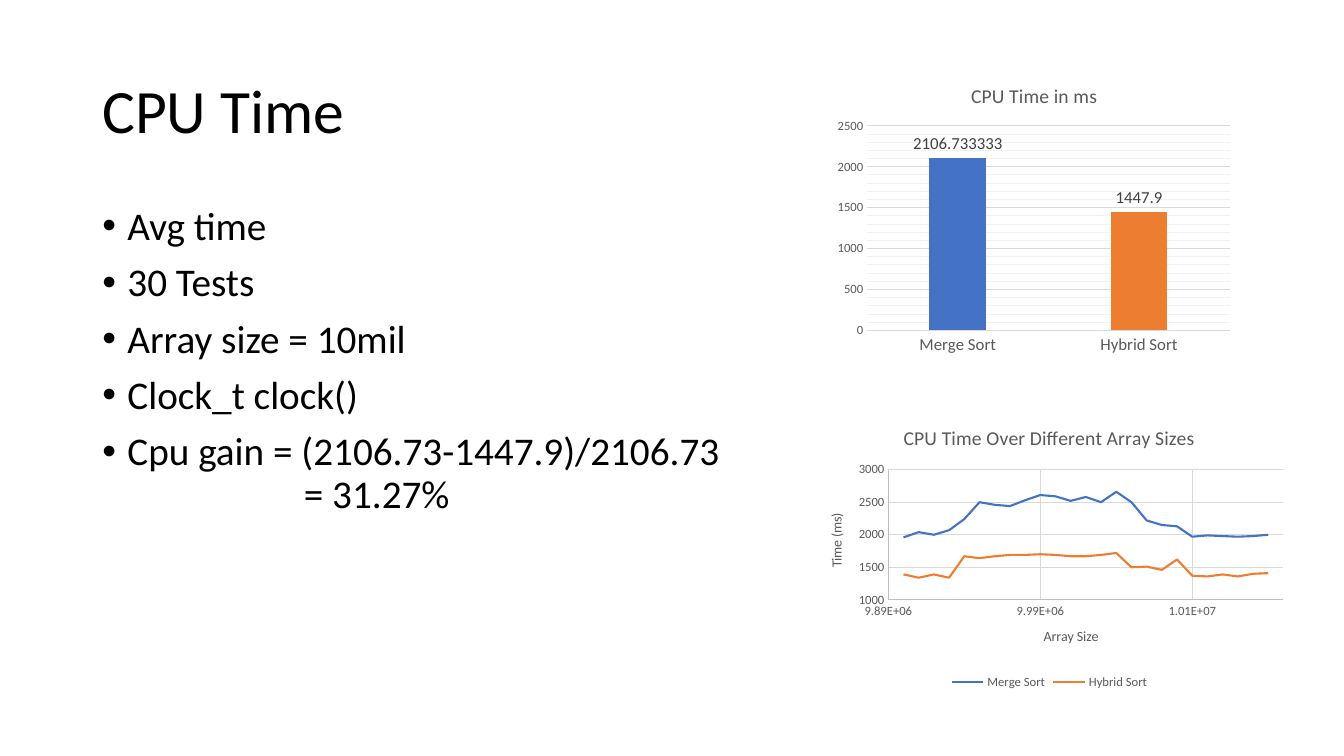
from lxml import etree
from pptx import Presentation, util as u
from pptx.chart.data import CategoryChartData, XyChartData
from pptx.dml.color import RGBColor
from pptx.enum import chart as charts, text
from pptx.oxml import ns

COLORS = {
    "black": "000000", "label": "404040", "gray": "595959", "axis": "BFBFBF",
    "grid": "D9D9D9", "minor": "F2F2F2", "merge": "4472C4", "hybrid": "ED7D31",
}


class Slide:
    font_name = "Calibri"

    def __init__(self, deck):
        self.page = deck.slides.add_slide(deck.slide_layouts[6])

    def color(self, name):
        return RGBColor.from_string(COLORS[name])

    def style_font(self, font, size, color):
        font.name = self.font_name
        font.size = u.Pt(size)
        font.bold = False
        font.color.rgb = self.color(color)

    def style_line(self, line, color, width=0.75):
        line.color.rgb = self.color(color)
        line.width = u.Pt(width)

    def add_text(self, area, paragraphs, size, anchor, bullets=False):
        box = self.page.shapes.add_textbox(*map(u.Pt, area))
        frame = box.text_frame
        frame.word_wrap = True
        frame.vertical_anchor = anchor
        for index, lines in enumerate(paragraphs):
            para = frame.add_paragraph() if index else frame.paragraphs[0]
            para.line_spacing = 0.9
            if bullets:
                para.space_before = u.Pt(10)
                self.add_bullet(para)
            for number, line in enumerate(lines):
                if number:
                    para.add_line_break()
                span = para.add_run()
                span.text = line
                self.style_font(span.font, size, "black")

    def add_bullet(self, para):
        props = para._p.get_or_add_pPr()
        props.set("marL", str(u.Pt(18)))
        props.set("indent", str(-u.Pt(18)))
        props.set("defTabSz", str(u.Pt(72)))
        etree.SubElement(props, ns.qn("a:buFont")).set("typeface", "Arial")
        etree.SubElement(props, ns.qn("a:buChar")).set("char", "•")

    def add_title(self, owner, title, size):
        span = owner.text_frame.paragraphs[0].add_run()
        span.text = title
        self.style_font(span.font, size, "gray")

    def add_chart(self, kind, area, data, title, plot_area):
        chart = self.page.shapes.add_chart(kind, *map(u.Pt, area), data).chart
        self.style_font(chart.font, 10, "black")
        chart.has_title = True
        self.add_title(chart.chart_title, title, 14)
        chart.has_legend = False
        self.place_plot(chart, plot_area)
        return chart

    def place_plot(self, chart, plot_area):
        plot = chart._chartSpace.chart.plotArea
        for old in plot.findall(ns.qn("c:layout")):
            plot.remove(old)
        layout = etree.Element(ns.qn("c:layout"))
        manual = etree.SubElement(layout, ns.qn("c:manualLayout"))
        settings = [("layoutTarget", "inner"), ("xMode", "edge"), ("yMode", "edge")]
        settings += zip("xywh", plot_area)
        for tag, value in settings:
            etree.SubElement(manual, ns.qn(f"c:{tag}")).set("val", str(value))
        plot.insert(0, layout)

    def add_minor_grid(self, axis, unit, color):
        axis.minor_unit = unit
        axis.has_minor_gridlines = True
        node = axis._element.find(ns.qn("c:minorGridlines"))
        for tag in ("c:spPr", "a:ln", "a:solidFill", "a:srgbClr"):
            node = etree.SubElement(node, ns.qn(tag))
            if tag == "a:ln":
                node.set("w", str(u.Pt(0.75)))
        node.set("val", COLORS[color])

    def style_axis(self, axis, size, line=None, grid=True, scale=(), title=None):
        axis.major_tick_mark = axis.minor_tick_mark = charts.XL_TICK_MARK.NONE
        self.style_font(axis.tick_labels.font, size, "gray")
        if line:
            self.style_line(axis.format.line, line)
        else:
            axis.format.line.fill.background()
        axis.has_major_gridlines = grid
        if grid:
            self.style_line(axis.major_gridlines.format.line, "grid")
        if scale:
            axis.minimum_scale, axis.maximum_scale, axis.major_unit = scale
        if title:
            self.add_title(axis.axis_title, title, 10)

    def add_bars(self, area, title, averages, colors, plot_area):
        data = CategoryChartData()
        data.categories = list(averages)
        data.add_series("Series 1", averages.values())
        chart = self.add_chart(charts.XL_CHART_TYPE.COLUMN_CLUSTERED,
                               area, data, title, plot_area)
        plot = chart.plots[0]
        plot.gap_width, plot.overlap = 219, -27
        plot.vary_by_categories = False
        series = plot.series[0]
        for index, color in enumerate(colors):
            fill = series.points[index].format.fill
            fill.solid()
            fill.fore_color.rgb = self.color(color)
        labels = series.data_labels
        labels.show_value = True
        labels.position = charts.XL_LABEL_POSITION.OUTSIDE_END
        self.style_font(labels.font, 12, "label")
        self.style_axis(chart.category_axis, 12, "grid", grid=False)
        self.style_axis(chart.value_axis, 9, scale=(0, 2500, 500))
        self.add_minor_grid(chart.value_axis, 100, "minor")

    def add_curves(self, area, title, sizes, timings, colors, plot_area):
        data = XyChartData()
        for name, times in timings.items():
            series = data.add_series(name)
            for size, time in zip(sizes, times):
                series.add_data_point(size, time)
        chart = self.add_chart(charts.XL_CHART_TYPE.XY_SCATTER_LINES_NO_MARKERS,
                               area, data, title, plot_area)
        chart.plots[0].vary_by_categories = False
        for series, color in zip(chart.plots[0].series, colors):
            series.smooth = False
            self.style_line(series.format.line, color, 1.5)
        across, up = chart.category_axis, chart.value_axis
        self.style_axis(across, 9, "axis", scale=(9890000, 10150000, 100000),
                        title="Array Size")
        self.style_axis(up, 9, "axis", scale=(1000, 3000, 500), title="Time (ms)")
        across.tick_labels.number_format = "0.00E+00"
        across.tick_labels.number_format_is_linked = False
        for axis in (across, up):
            axis.crosses = charts.XL_AXIS_CROSSES.MINIMUM
        chart.has_legend = True
        chart.legend.position = charts.XL_LEGEND_POSITION.BOTTOM
        chart.legend.include_in_layout = False
        self.style_font(chart.legend.font, 9, "gray")


deck = Presentation()
deck.slide_width, deck.slide_height = u.Pt(960), u.Pt(540)
slide = Slide(deck)

slide.add_text((66, 28.8, 828, 104.4), [["CPU Time"]], 44, text.MSO_ANCHOR.MIDDLE)
points = [
    ["Avg time "],
    ["30 Tests"],
    ["Array size = 10mil"],
    ["Clock_t clock()"],
    ["Cpu gain = (2106.73-1447.9)/2106.73", "\t\t= 31.27%"],
]
slide.add_text((66, 144, 828, 342.7), points, 28, text.MSO_ANCHOR.TOP, bullets=True)

sort_colors = ["merge", "hybrid"]
averages = {"Merge Sort": 2106.733333, "Hybrid Sort": 1447.9}
slide.add_bars((593.3, 48.2, 290.9, 208.8), "CPU Time in ms", averages,
               sort_colors, (0.09, 0.2, 0.89, 0.7))

array_sizes = range(9900000, 10150000, 10000)
timings = {
    "Merge Sort": [1960, 2040, 2000, 2070, 2240, 2500, 2460, 2440, 2530, 2610,
                   2590, 2520, 2580, 2500, 2660, 2500, 2220, 2150, 2130, 1970,
                   1990, 1980, 1970, 1980, 2000],
    "Hybrid Sort": [1390, 1340, 1390, 1340, 1670, 1640, 1670, 1690, 1690, 1700,
                    1690, 1670, 1670, 1690, 1720, 1500, 1510, 1460, 1620, 1370,
                    1360, 1390, 1360, 1400, 1410],
}
slide.add_curves((575.3, 293, 348.5, 202.3), "CPU Time Over Different Array Sizes",
                 array_sizes, timings, sort_colors, (0.17, 0.21, 0.81, 0.46))

deck.save("out.pptx")
